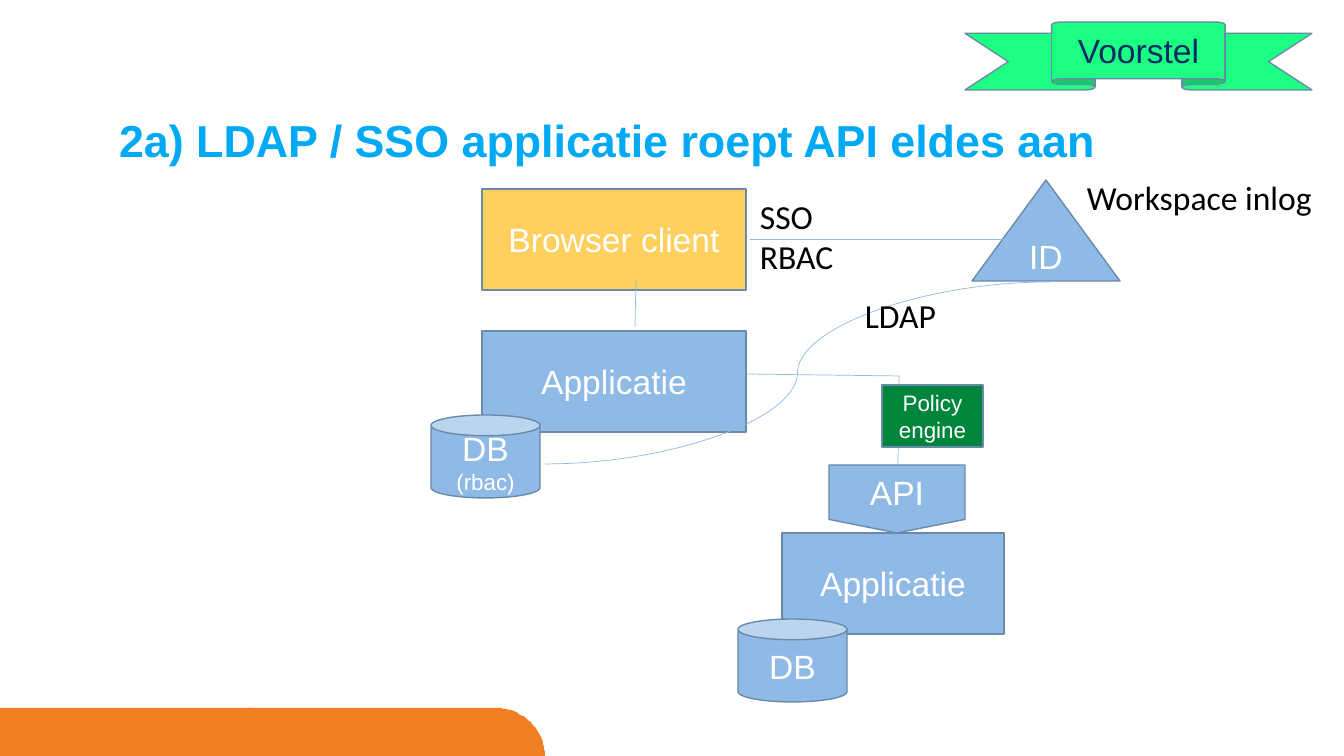
import math

from lxml import etree
from pptx import Presentation
from pptx import util as u
from pptx.dml.color import RGBColor
from pptx.enum import shapes, text
from pptx.oxml.ns import qn

PX = 914400 / 100.8  # EMU per px
WHITE = RGBColor(0xFF, 0xFF, 0xFF)
BLACK = RGBColor(0, 0, 0)
NAVY = RGBColor(0x00, 0x2C, 0x64)
SKY = RGBColor(0x00, 0xA9, 0xF3)
BLUE = RGBColor(0x8E, 0xBA, 0xE5)
OUTLINE = RGBColor(0x69, 0x8A, 0xA9)
YELLOW = RGBColor(0xFF, 0xD0, 0x5D)
GREEN = RGBColor(0x00, 0x85, 0x3C)
MINT = RGBColor(0x1D, 0xFF, 0x83)
ORANGE = RGBColor(0xF0, 0x7E, 0x23)
S = shapes.MSO_SHAPE
C = shapes.MSO_CONNECTOR


def write(tf, content, size=24, font="Arial", color=WHITE, bold=False,
          align=text.PP_ALIGN.LEFT, anchor=text.MSO_ANCHOR.TOP):
    """Put each line of content in its own paragraph."""
    tf.word_wrap = True
    tf.vertical_anchor = anchor
    for i, line in enumerate(content.split("\n")):
        p = tf.add_paragraph() if i else tf.paragraphs[0]
        p.alignment = align
        r = p.add_run()
        r.text = line
        r.font.size = u.Pt(size)
        r.font.name = font
        r.font.bold = bold
        r.font.color.rgb = color


def add_node(kind, box, label, fill=BLUE, **fmt):
    sp = slide.shapes.add_shape(kind, *[round(v * PX) for v in box])
    sp.shadow.inherit = False
    sp.fill.solid()
    sp.fill.fore_color.rgb = fill
    sp.line.color.rgb = OUTLINE
    sp.line.width = u.Pt(1)
    write(sp.text_frame, label, align=text.PP_ALIGN.CENTER,
          anchor=text.MSO_ANCHOR.MIDDLE, **fmt)
    return sp


prs = Presentation()
prs.slide_width = round(1344 * PX)
prs.slide_height = round(756 * PX)
slide = prs.slides.add_slide(prs.slide_layouts[6])

# Footer: two overlapping bars with a rounded top right corner
bar_top, bar_bottom, bar_width, radius = 708, 757, 297, 49
for left in (-1, 248):
    right = left + bar_width
    arc = [(right - radius + radius * math.sin(math.radians(a)),
            bar_bottom - radius * math.cos(math.radians(a)))
           for a in range(0, 91, 3)]
    builder = slide.shapes.build_freeform(left, bar_bottom, scale=PX)
    builder.add_line_segments([(left, bar_top)] + arc, close=True)
    sp = builder.convert_to_shape()
    sp.shadow.inherit = False
    sp.fill.solid()
    sp.fill.fore_color.rgb = ORANGE
    sp.line.fill.background()

# Title
title = slide.shapes.add_textbox(*[round(v * PX) for v in (119, 119, 1106, 80)])
tf = title.text_frame
tf.margin_left = tf.margin_top = tf.margin_right = tf.margin_bottom = 0
write(tf, "2a) LDAP / SSO applicatie roept API eldes aan", size=32, color=SKY, bold=True)
tf.paragraphs[0].line_spacing = 0.9

# Systems
add_node(S.RECTANGLE, (482, 331, 264, 101), "Applicatie")
add_node(S.FLOWCHART_OFFPAGE_CONNECTOR, (829, 465, 136, 68), "API")
add_node(S.RECTANGLE, (782, 533, 222, 101), "Applicatie")
add_node(S.RECTANGLE, (482, 189, 264, 101), "Browser client", fill=YELLOW)
add_node(S.ISOSCELES_TRIANGLE, (972, 180, 148, 101), "ID")
rbac_db = add_node(S.CAN, (431, 415, 109, 83), "DB\n(rbac)")
rbac_db.text_frame.paragraphs[1].runs[0].font.size = u.Pt(16)
add_node(S.CAN, (738, 619, 109, 83), "DB")
add_node(S.UP_RIBBON, (965, 22, 347, 68), "Voorstel", fill=MINT, color=NAVY)

# Connections
for kind, ends in [
    (C.STRAIGHT, (746, 374, 900, 376)),
    (C.STRAIGHT, (898, 465, 899, 376)),
    (C.STRAIGHT, (635, 327, 636, 281)),
    (C.STRAIGHT, (750, 239, 1004, 239)),
    (C.CURVE, (545, 464, 1050, 282)),
]:
    line = slide.shapes.add_connector(kind, *[round(v * PX) for v in ends])
    line.line.color.rgb = BLUE
    line.line.width = u.Pt(0.5)
    etree.SubElement(line._element.spPr, qn("a:effectLst"))

add_node(S.RECTANGLE, (882, 385, 101, 62), "Policy\nengine", fill=GREEN, size=16)

# Labels
for box, label in [
    ((1077, 172, 250, 51), "Workspace inlog"),
    ((855, 290, 135, 50), "LDAP"),
    ((750, 191, 135, 92), "SSO\nRBAC"),
]:
    tb = slide.shapes.add_textbox(*[round(v * PX) for v in box])
    write(tb.text_frame, label, font="Calibri", color=BLACK)

prs.save("out.pptx")
